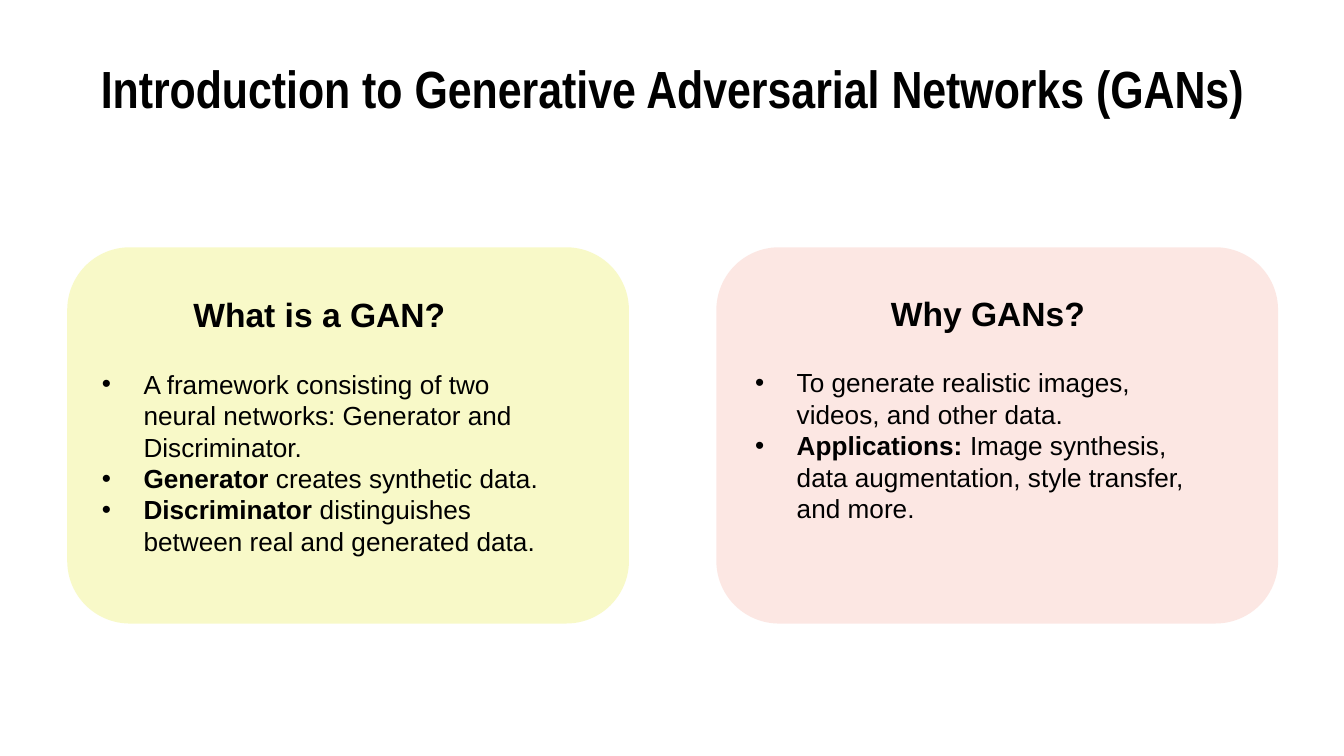
from dataclasses import dataclass

from lxml.etree import SubElement
from pptx import Presentation
from pptx.dml.color import RGBColor
from pptx.enum.shapes import MSO_SHAPE
from pptx.enum.text import MSO_ANCHOR, PP_ALIGN
from pptx.oxml.ns import qn
from pptx.util import Inches, Pt


@dataclass(frozen=True)
class Theme:
    """Colours, fonts and type sizes of the slide."""
    ink: str = "000000"
    yellow: str = "E4EA27"
    red: str = "EA4827"
    yellow_opacity: int = 25
    red_opacity: int = 13
    title_font: str = "Arial Narrow"
    body_font: str = "Arial"
    title_size: int = 28
    heading_size: int = 18
    body_size: int = 14


THEME = Theme()
CARD_TOP, CARD_WIDTH, CARD_HEIGHT = 1.84, 4.18, 2.8
HEADING_SIZE = (2.31, 0.36)
BODY_SIZE = (3.66, 1.24)
BULLET_INDENT = 0.31

CARDS = [
    {
        "left": 0.5, "color": THEME.yellow, "opacity": THEME.yellow_opacity,
        "heading": "What is a GAN?", "heading_at": (1.34, 2.16), "body_at": (0.66, 2.64),
        "bullets": [
            [("A framework consisting of two neural networks: Generator and Discriminator.", False)],
            [("Generator", True), (" creates synthetic data.", False)],
            [("Discriminator", True), (" distinguishes between real and generated data.", False)],
        ],
    },
    {
        "left": 5.33, "color": THEME.red, "opacity": THEME.red_opacity,
        "heading": "Why GANs?", "heading_at": (6.53, 2.15), "body_at": (5.52, 2.63),
        "bullets": [
            [("To generate realistic images, videos, and other data.", False)],
            [("Applications: ", True),
             ("Image synthesis, data augmentation, style transfer, and more.", False)],
        ],
    },
]


def add_panel(page, left, color, opacity):
    """Draw a translucent rounded panel."""
    panel = page.shapes.add_shape(
        MSO_SHAPE.ROUNDED_RECTANGLE, Inches(left), Inches(CARD_TOP),
        Inches(CARD_WIDTH), Inches(CARD_HEIGHT))
    panel.shadow.inherit = False
    panel.line.fill.background()
    panel.fill.solid()
    panel.fill.fore_color.rgb = RGBColor.from_string(color)
    color_node = next(panel.element.spPr.iter(qn("a:srgbClr")))
    SubElement(color_node, qn("a:alpha"), val=str(opacity * 1000))


def add_box(page, position, size, anchor=MSO_ANCHOR.MIDDLE):
    """Add a wrapping text box and return its text frame."""
    box = page.shapes.add_textbox(*map(Inches, position + size))
    frame = box.text_frame
    frame.word_wrap = True
    frame.vertical_anchor = anchor
    frame.margin_left = frame.margin_right = Inches(0.1)
    frame.margin_top = frame.margin_bottom = Inches(0.1)
    return frame


def add_span(para, text, size, font=THEME.body_font, bold=True):
    """Append one formatted run to a paragraph."""
    span = para.add_run()
    span.text = text
    span.font.name = font
    span.font.size = Pt(size)
    span.font.bold = bold
    span.font.color.rgb = RGBColor.from_string(THEME.ink)


def set_bullet(para):
    """Give a paragraph a hanging bullet."""
    properties = para._p.get_or_add_pPr()
    indent = Inches(BULLET_INDENT)
    properties.set("marL", str(indent))
    properties.set("indent", str(-indent))
    bullet_color = SubElement(properties, qn("a:buClr"))
    SubElement(bullet_color, qn("a:srgbClr"), val=THEME.ink)
    SubElement(properties, qn("a:buFont"), typeface=THEME.body_font)
    SubElement(properties, qn("a:buChar"), char="•")


def add_title(page, text):
    """Add the centred slide title."""
    para = add_box(page, (0.5, 0.45), (9, 0.41)).paragraphs[0]
    para.alignment = PP_ALIGN.CENTER
    add_span(para, text, THEME.title_size, THEME.title_font)


def add_card(page, card):
    """Add a panel with its heading and bullet list."""
    add_panel(page, card["left"], card["color"], card["opacity"])
    heading = add_box(page, card["heading_at"], HEADING_SIZE)
    add_span(heading.paragraphs[0], card["heading"], THEME.heading_size)
    body = add_box(page, card["body_at"], BODY_SIZE, MSO_ANCHOR.TOP)
    for index, bullet in enumerate(card["bullets"]):
        para = body.add_paragraph() if index else body.paragraphs[0]
        set_bullet(para)
        for text, bold in bullet:
            add_span(para, text, THEME.body_size, bold=bold)


def main():
    """Build and save the slide."""
    deck = Presentation()
    deck.slide_width = Inches(10)
    deck.slide_height = deck.slide_width * 9 // 16
    page = deck.slides.add_slide(deck.slide_layouts[6])
    add_title(page, "Introduction to Generative Adversarial Networks (GANs)")
    for card in CARDS:
        add_card(page, card)
    deck.save("out.pptx")


if __name__ == "__main__":
    main()
